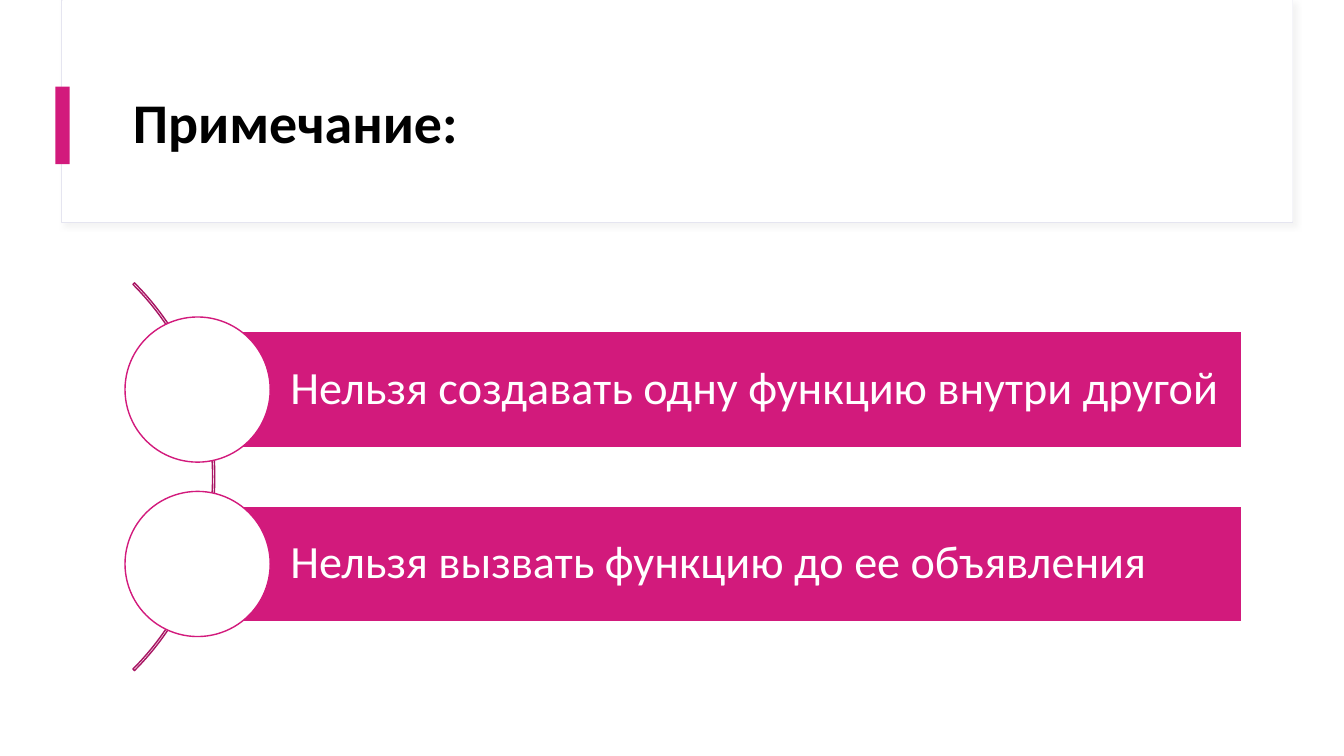
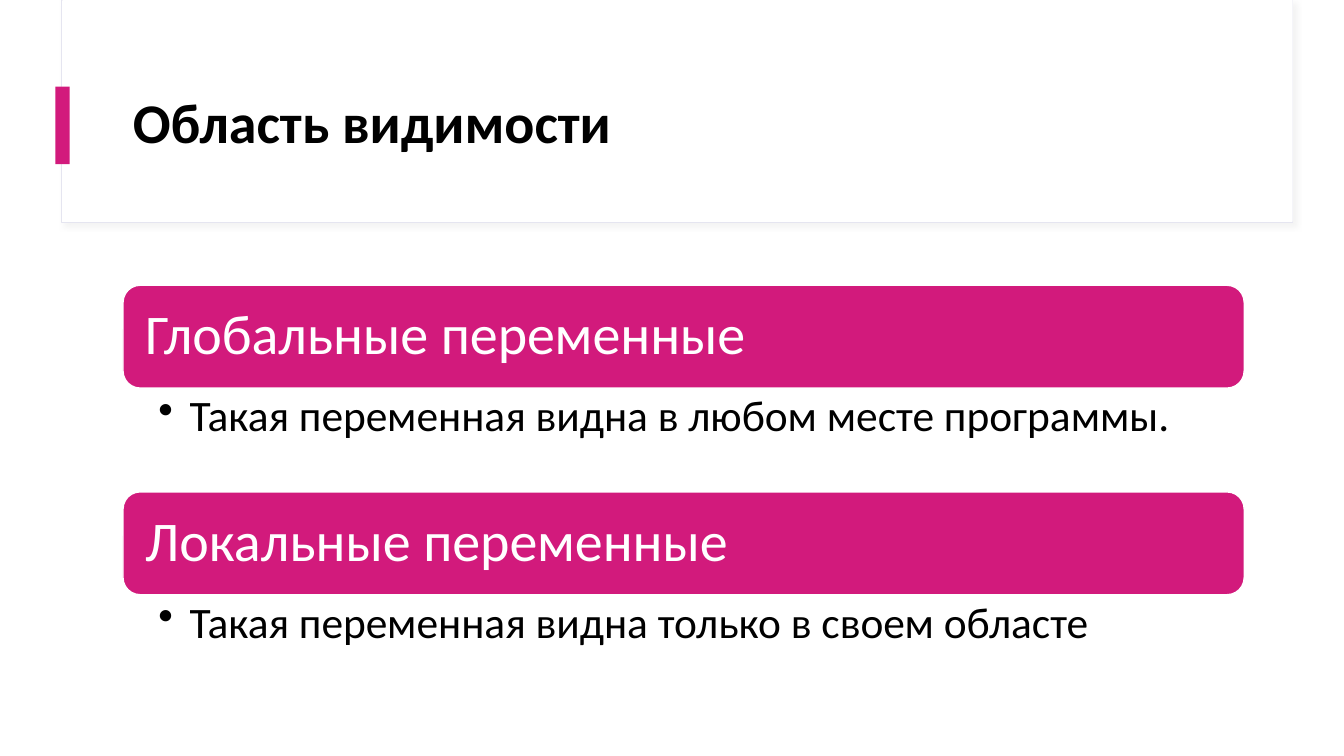
from lxml.etree import SubElement
from pptx import Presentation
from pptx.dml.color import RGBColor
from pptx.enum.shapes import MSO_SHAPE as SHAPE
from pptx.enum.text import MSO_ANCHOR as ANCHOR, PP_ALIGN as ALIGN
from pptx.oxml.ns import qn
from pptx.util import Inches, Pt

COLORS = {
    "accent": "D21A7C",
    "arc": "A81563",
    "frame": "E5E5F0",
    "shadow": "D9D9D9",
    "white": "FFFFFF",
    "black": "000000",
}
FONT = "Calibri"
CONTENT_LEFT, CONTENT_WIDTH = 1.22, 11.12


def color(name):
    return RGBColor.from_string(COLORS[name])


def add_box(page, kind, place, fill=None, line=None, width=1):
    """Add a preset shape at (left, top, width, height) in inches."""
    box = page.shapes.add_shape(kind, *map(Inches, place))
    box.shadow.inherit = False
    if fill:
        box.fill.solid()
        box.fill.fore_color.rgb = color(fill)
    else:
        box.fill.background()
    if line:
        box.line.color.rgb = color(line)
        box.line.width = Pt(width)
    else:
        box.line.fill.background()
    return box


def add_text_box(page, place):
    return page.shapes.add_textbox(*map(Inches, place))


def set_text(box, text, size, ink, insets=(0.1, 0.05, 0.1, 0.05),
             bold=False, anchor=ANCHOR.MIDDLE):
    """Write one left-aligned paragraph; insets are left, top, right, bottom."""
    frame = box.text_frame
    frame.word_wrap = True
    frame.vertical_anchor = anchor
    (frame.margin_left, frame.margin_top,
     frame.margin_right, frame.margin_bottom) = map(Inches, insets)
    frame.text = text
    para = frame.paragraphs[0]
    para.alignment = ALIGN.LEFT
    para.line_spacing = 0.9
    font = para.runs[0].font
    font.name, font.size, font.bold = FONT, Pt(size), bold
    font.color.rgb = color(ink)
    return para


def add_bullet(para, indent):
    props = para._p.get_or_add_pPr()
    props.set("marL", str(Inches(indent)))
    props.set("indent", str(-Inches(indent)))
    SubElement(props, qn("a:buChar"), char="•")


def add_soft_shadow(box):
    effects = box._element.spPr.find(qn("a:effectLst"))
    shadow = SubElement(effects, qn("a:outerShdw"), blurRad=str(Pt(4)),
                        dist=str(Pt(3)), dir=str(45 * 60000),
                        algn="tl", rotWithShape="0")
    tint = SubElement(shadow, qn("a:srgbClr"), val=COLORS["shadow"])
    SubElement(tint, qn("a:alpha"), val="30000")


def add_page(deck, title):
    """Add a slide with the shared title frame, accent mark and title."""
    page = deck.slides.add_slide(deck.slide_layouts[6])
    frame = add_box(page, SHAPE.RECTANGLE, (0.61, 0, 12.21, 2.21),
                    "white", "frame", 0.75)
    add_soft_shadow(frame)
    add_box(page, SHAPE.RECTANGLE, (0.62, 0, 12.2, 2.2), "white")
    add_box(page, SHAPE.RECTANGLE, (0.55, 0.86, 0.14, 0.77), "accent")
    title_box = add_text_box(page, (CONTENT_LEFT, 0.6, CONTENT_WIDTH, 1.29))
    set_text(title_box, title, 40, "black", bold=True)
    return page


def add_arc_list(page, notes):
    """Place bars with circles along a thin arc."""
    arc = add_box(page, SHAPE.BLOCK_ARC, (-3.31, 2.01, 5.44, 5.44), line="arc")
    for index, value in enumerate((189, 27, 0.004)):
        arc.adjustments[index] = value

    bar_left, bar_height, circle_size = 1.96, 1.15, 1.44
    for index, note in enumerate(notes):
        middle = 3.865 + index * 1.73
        bar = add_box(page, SHAPE.RECTANGLE,
                      (bar_left, middle - bar_height / 2, 10.36, bar_height),
                      "accent", "white")
        set_text(bar, note, 33, "white", (0.92, 0.09, 0.09, 0.09))
        add_box(page, SHAPE.OVAL,
                (bar_left - circle_size / 2, middle - circle_size / 2,
                 circle_size, circle_size), "white", "accent")


def add_headed_list(page, sections):
    """Stack rounded headings, each with a bullet below it."""
    heading_height, body_height = 1.02, 0.72
    for index, (heading, body) in enumerate(sections):
        top = 2.83 + index * 2.05
        bar = add_box(page, SHAPE.ROUNDED_RECTANGLE,
                      (CONTENT_LEFT, top, CONTENT_WIDTH, heading_height),
                      "accent", "white")
        set_text(bar, heading, 40, "white", (0.17,) * 4)
        body_box = add_text_box(page, (CONTENT_LEFT, top + heading_height,
                                       CONTENT_WIDTH, body_height))
        para = set_text(body_box, body, 31, "black",
                        (0.35, 0.06, 0.31, 0.06), anchor=ANCHOR.TOP)
        add_bullet(para, 0.31)


def main():
    deck = Presentation()
    deck.slide_width, deck.slide_height = Inches(13.33), Inches(7.5)

    # Notes on functions
    add_arc_list(add_page(deck, "Примечание:"), [
        "Нельзя создавать одну функцию внутри другой",
        "Нельзя вызвать функцию до ее объявления",
    ])

    # Variable scope
    add_headed_list(add_page(deck, "Область видимости"), [
        ("Глобальные переменные",
         "Такая переменная видна в любом месте программы."),
        ("Локальные переменные",
         "Такая переменная видна только в своем областе"),
    ])

    deck.save("out.pptx")


main()
